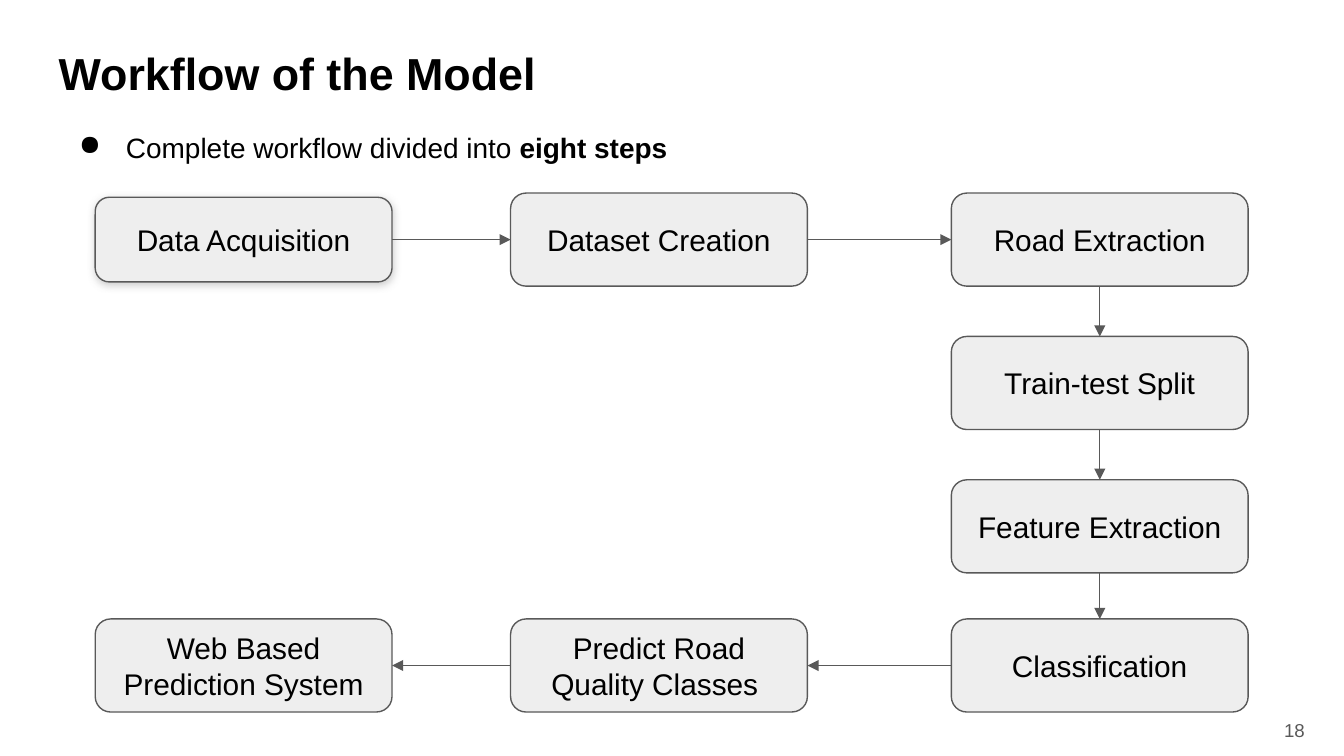
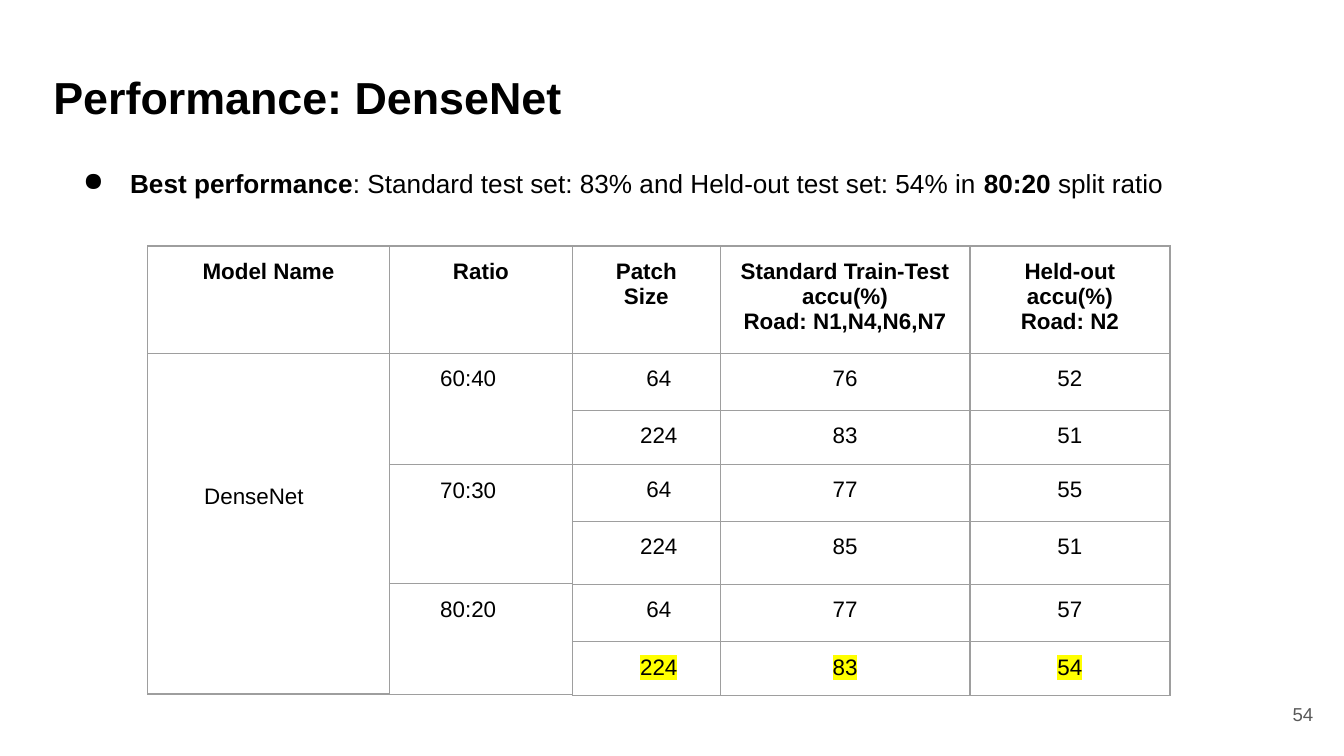
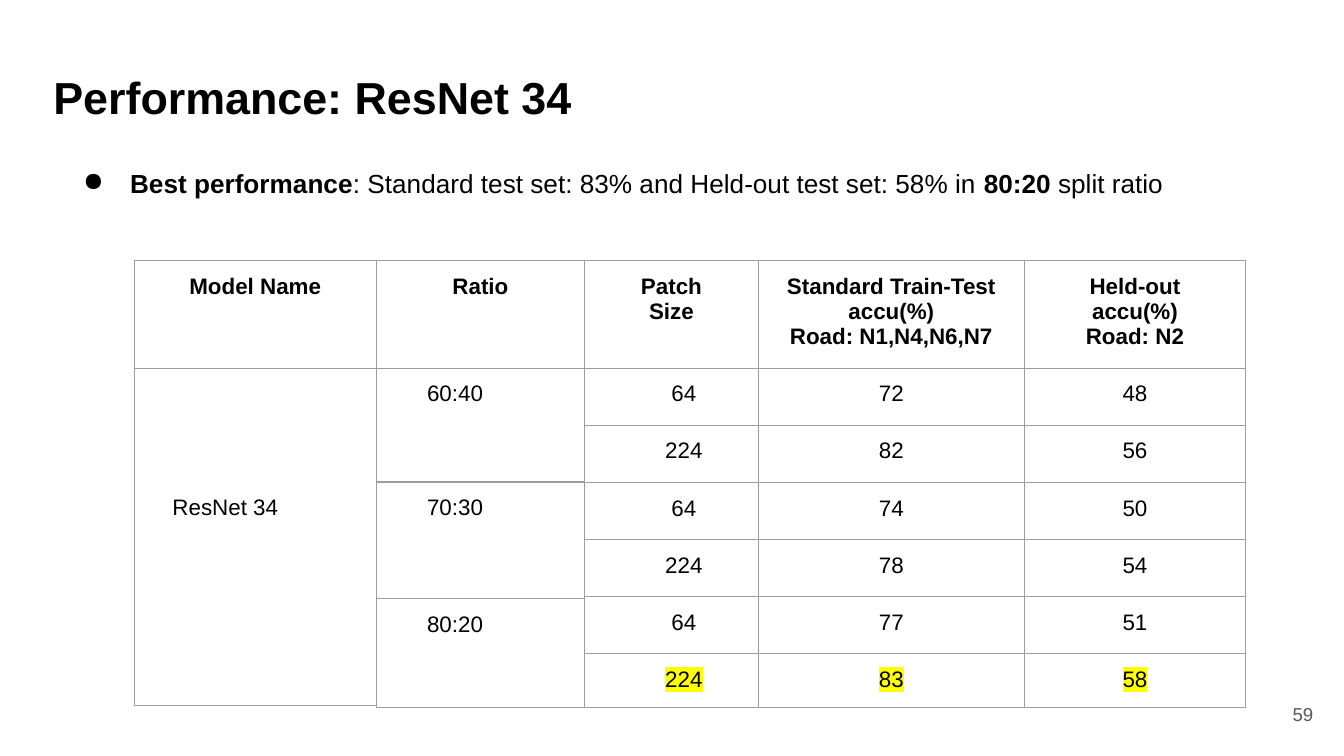
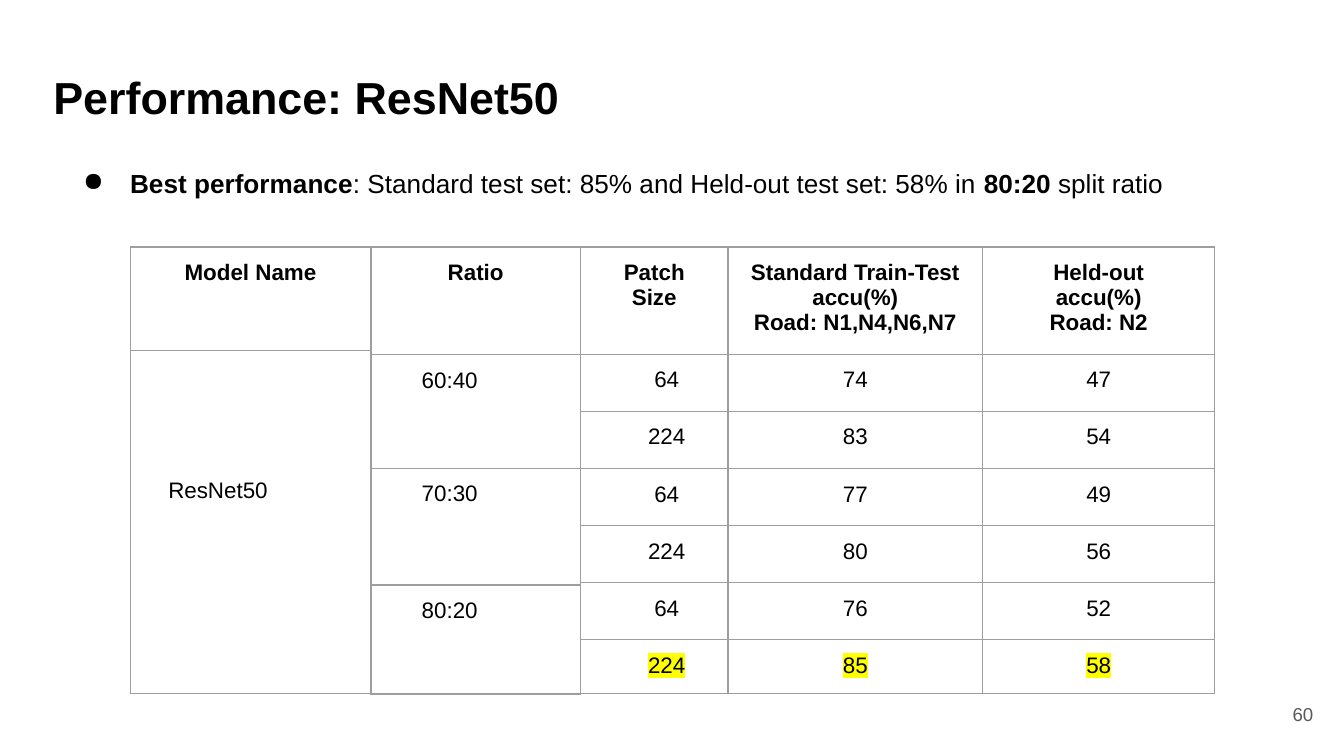
import pptx
import pptx.dml.color
import pptx.enum.shapes
import pptx.enum.text
import pptx.oxml
import pptx.oxml.ns
import pptx.util
from lxml import etree

Cm = pptx.util.Cm
Pt = pptx.util.Pt
qn = pptx.oxml.ns.qn
ALIGN = pptx.enum.text.PP_ALIGN
MIDDLE = pptx.enum.text.MSO_ANCHOR.MIDDLE
BLACK, GREY, BORDER, BOX, YELLOW = "000000", "595959", "9E9E9E", "EEEEEE", "FFFF00"
INSET = 0.25


def rgb(hex_colour):
    return pptx.dml.color.RGBColor.from_string(hex_colour)


def style_run(run, size, bold=False, colour=BLACK):
    run.font.name = "Arial"
    run.font.size = Pt(size)
    run.font.bold = bold
    run.font.color.rgb = rgb(colour)


presentation = pptx.Presentation()
presentation.slide_width = Cm(25.4)
presentation.slide_height = Cm(14.29)

workflow_places = [(0.86, 0.61, 23.67), (0.86, 2.21, 22.68), (23.39, 13.26, 1.52)]
performance_places = [(0.76, 1.07, 12.52), (0.94, 2.92, 22.3), (23.55, 12.95, 1.52)]
pages = [("Workflow of the Model", "18", workflow_places, 15,
          [("Complete workflow divided into ", False), ("eight steps", True)])]
for model, number, standard, held_out in [
    ("DenseNet", "54", 83, 54), ("ResNet 34", "59", 83, 58), ("ResNet50", "60", 85, 58),
]:
    pages.append((f"Performance: {model}", number, performance_places, 14, [
        ("Best performance", True),
        (f": Standard test set: {standard}% and Held-out test set: {held_out}% in ", False),
        ("80:20", True), (" split ratio", False)]))

for title, number, places, bullet_size, bullet_runs in pages:
    slide = presentation.slides.add_slide(presentation.slide_layouts[6])
    frames = []
    for (left, top, width), height in zip(places, (1.6, 1.14, 1.09)):
        frame = slide.shapes.add_textbox(Cm(left), Cm(top), Cm(width), Cm(height)).text_frame
        frame.word_wrap = True
        frame.margin_left = frame.margin_right = Cm(INSET)
        frame.margin_top = frame.margin_bottom = Cm(INSET)
        frames.append(frame)
    title_frame, bullet_frame, number_frame = frames

    title_frame.text = title
    style_run(title_frame.paragraphs[0].runs[0], 24, True)

    paragraph = bullet_frame.paragraphs[0]
    properties = paragraph._p.get_or_add_pPr()
    properties.set("marL", str(Cm(1.27)))
    properties.set("indent", str(Cm(-0.89)))
    bullet_colour = etree.SubElement(properties, qn("a:buClr"))
    etree.SubElement(bullet_colour, qn("a:srgbClr"), val=BLACK)
    etree.SubElement(properties, qn("a:buChar"), char="●")
    for text, bold in bullet_runs:
        run = paragraph.add_run()
        run.text = text
        style_run(run, bullet_size, bold)

    number_frame.text = number
    number_frame.vertical_anchor = MIDDLE
    number_frame.paragraphs[0].alignment = ALIGN.RIGHT
    style_run(number_frame.paragraphs[0].runs[0], 10, colour=GREY)

workflow_slide, *performance_slides = presentation.slides

column_lefts = [1.8, 9.65, 17.98]
row_tops = [3.65, 6.36, 9.07, 11.7]
steps = [
    ("Data Acquisition", 0, 0), ("Dataset Creation", 1, 0), ("Road Extraction", 2, 0),
    ("Train-test Split", 2, 1), ("Feature Extraction", 2, 2), ("Classification", 2, 3),
    ("Predict Road Quality Classes ", 1, 3), ("Web Based Prediction System", 0, 3),
]
boxes = []
for text, column, row in steps:
    shape = workflow_slide.shapes.add_shape(
        pptx.enum.shapes.MSO_SHAPE.ROUNDED_RECTANGLE,
        Cm(column_lefts[column]), Cm(row_tops[row]), Cm(5.61), Cm(1.76))
    shape.shadow.inherit = False
    shape.fill.solid()
    shape.fill.fore_color.rgb = rgb(BOX)
    shape.line.color.rgb = rgb(GREY)
    shape.line.width = Pt(0.75)
    frame = shape.text_frame
    frame.text = text
    frame.word_wrap = True
    frame.vertical_anchor = MIDDLE
    frame.paragraphs[0].alignment = ALIGN.CENTER
    style_run(frame.paragraphs[0].runs[0], 16)
    boxes.append(shape)

first_box = boxes[0]
first_box.top, first_box.height = Cm(3.73), Cm(1.6)
effects = first_box._element.spPr.find(qn("a:effectLst"))
shadow = etree.SubElement(effects, qn("a:outerShdw"), blurRad=str(Pt(4.5)), dist=str(Pt(1.5)),
                          dir="5400000", algn="bl", rotWithShape="0")
shadow_colour = etree.SubElement(shadow, qn("a:srgbClr"), val=BORDER)
etree.SubElement(shadow_colour, qn("a:alpha"), val="50000")

TOP, LEFT, BOTTOM, RIGHT = range(4)
for index in range(len(boxes) - 1):
    column, next_column = steps[index][1], steps[index + 1][1]
    if next_column > column:
        start, end = RIGHT, LEFT
    elif next_column < column:
        start, end = LEFT, RIGHT
    else:
        start, end = BOTTOM, TOP
    arrow = workflow_slide.shapes.add_connector(pptx.enum.shapes.MSO_CONNECTOR.STRAIGHT, 0, 0, 0, 0)
    arrow.begin_connect(boxes[index], start)
    arrow.end_connect(boxes[index + 1], end)
    arrow.line.color.rgb = rgb(GREY)
    arrow.line.width = Pt(0.75)
    etree.SubElement(arrow.line._get_or_add_ln(), qn("a:tailEnd"), type="triangle")
    etree.SubElement(arrow._element.spPr, qn("a:effectLst"))

result_header = ["Patch\nSize", "Standard Train-Test\naccu(%)\nRoad: N1,N4,N6,N7",
                 "Held-out\naccu(%)\nRoad: N2"]
ratio_rows = [["Ratio"], ["60:40"], ["70:30"], ["80:20"]]
patch_sizes = [64, 224] * 3
performances = [
    dict(model="DenseNet", left=2.79, top=4.65, model_indent=0.82, model_drop=2.48,
         widths=[[4.57], [3.46], [2.79, 4.72, 3.78]],
         heights=[[2.03, 6.44], [2.03, 2.1, 2.25, 2.1], [1.94, 1.08, 1.02, 1.08, 1.19, 1.08, 1.02]],
         standard=[76, 83, 77, 85, 77, 83], held_out=[52, 51, 55, 51, 57, 54]),
    dict(model="ResNet 34", left=2.54, top=4.93, model_indent=0.47, model_drop=2.4,
         widths=[[4.57], [3.94], [3.28, 5.03, 4.18]],
         heights=[[2.03, 6.38], [2.03, 2.15, 2.21, 2.06], [2.03] + [1.08] * 5 + [1.02]],
         standard=[72, 82, 74, 78, 77, 83], held_out=[48, 56, 50, 54, 51, 58]),
    dict(model="ResNet50", left=2.46, top=4.67, model_indent=0.47, model_drop=2.4,
         widths=[[4.55], [3.96], [2.79, 4.81, 4.39]],
         heights=[[1.96, 6.48], [2.03, 2.15, 2.21, 2.06], [1.94] + [1.08] * 5 + [0.99]],
         standard=[74, 83, 77, 80, 76, 85], held_out=[47, 54, 49, 56, 52, 58]),
]

for slide, performance in zip(performance_slides, performances):
    model_rows = [["Model Name"], [performance["model"]]]
    result_rows = [result_header, *zip(patch_sizes, performance["standard"], performance["held_out"])]
    first_column_indents = [performance["model_indent"], 0.71, 0.47]
    left = performance["left"]
    for kind, rows in enumerate([model_rows, ratio_rows, result_rows]):
        widths, heights = performance["widths"][kind], performance["heights"][kind]
        table = slide.shapes.add_table(
            len(rows), len(widths), Cm(left), Cm(performance["top"]),
            Cm(sum(widths)), Cm(sum(heights))).table
        left += sum(widths)
        table.first_row = table.horz_banding = False
        for column, width in zip(table.columns, widths):
            column.width = Cm(width)
        for row_index, (row, height) in enumerate(zip(rows, heights)):
            table.rows[row_index].height = Cm(height)
            for column_index, value in enumerate(row):
                is_header = row_index == 0
                is_indented = not is_header and column_index == 0
                is_model = is_indented and kind == 0
                is_best = kind == 2 and row_index == len(rows) - 1
                cell = table.cell(row_index, column_index)
                cell.text = str(value)
                cell.margin_left = Cm(INSET + is_indented * first_column_indents[kind])
                cell.margin_top = Cm(performance["model_drop"] if is_model else INSET)
                cell.margin_right = cell.margin_bottom = Cm(INSET)
                for side in ("a:lnL", "a:lnR", "a:lnT", "a:lnB"):
                    border = etree.SubElement(cell._tc.get_or_add_tcPr(), qn(side), w=str(Pt(0.75)))
                    border_fill = etree.SubElement(border, qn("a:solidFill"))
                    etree.SubElement(border_fill, qn("a:srgbClr"), val=BORDER)
                cell.fill.background()
                for paragraph in cell.text_frame.paragraphs:
                    paragraph.alignment = ALIGN.CENTER if is_header or kind == 2 else ALIGN.LEFT
                    run = paragraph.runs[0]
                    style_run(run, 12, is_header)
                    if is_best:
                        highlight = etree.Element(qn("a:highlight"))
                        etree.SubElement(highlight, qn("a:srgbClr"), val=YELLOW)
                        run._r.rPr.find(qn("a:latin")).addprevious(highlight)

presentation.save("out.pptx")
